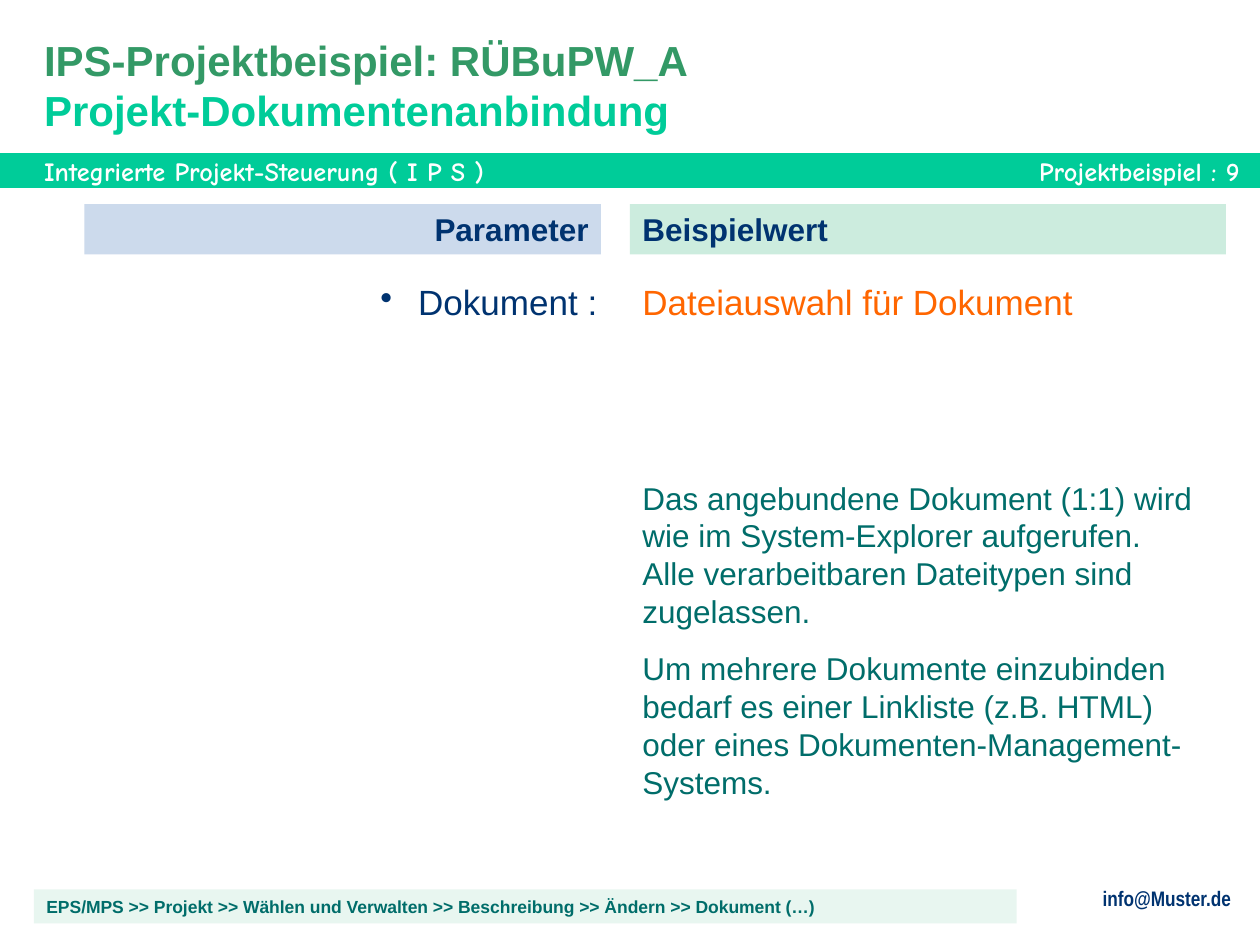
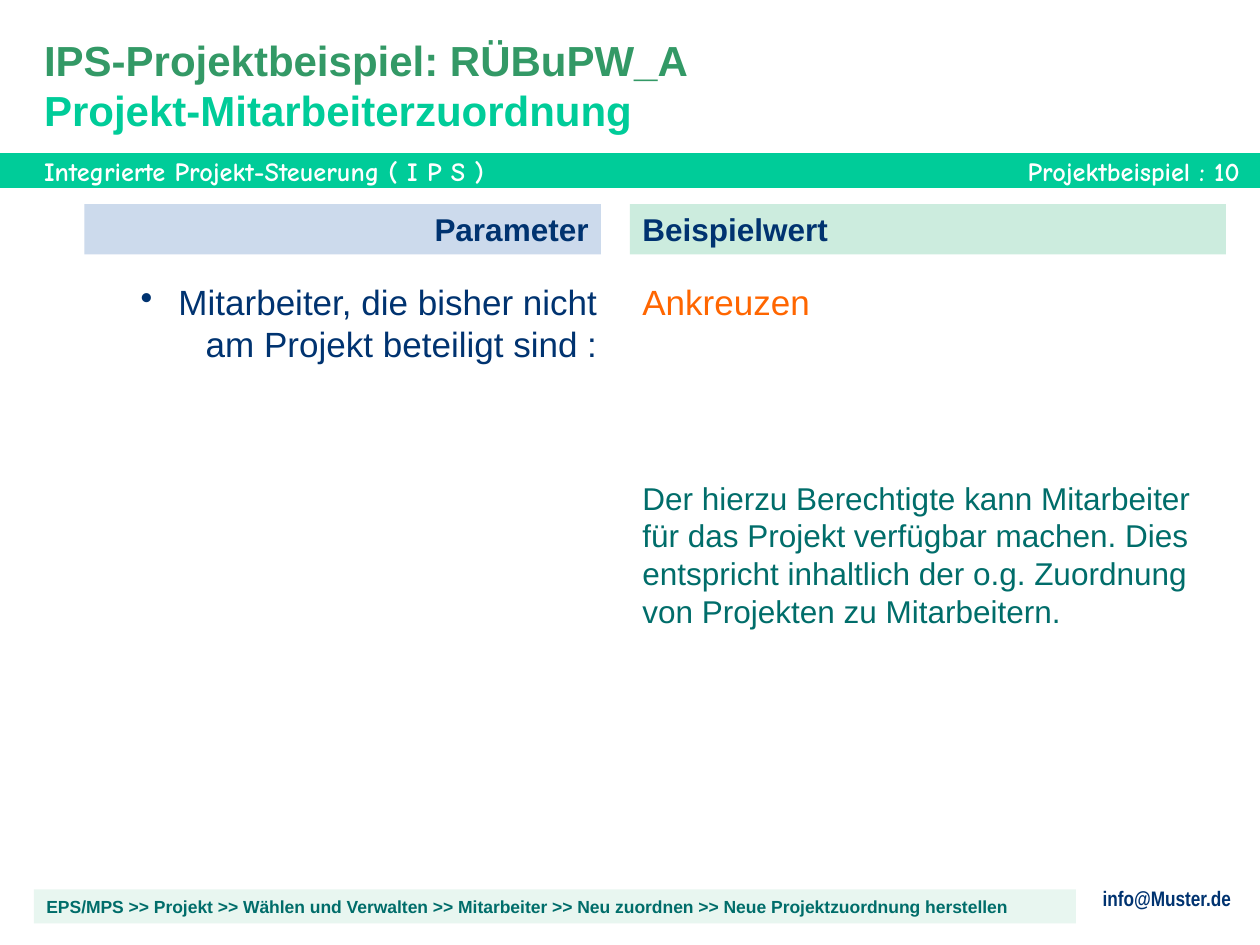
from dataclasses import dataclass

import lxml.etree
import pptx
import pptx.dml.color
import pptx.enum.shapes
import pptx.enum.text
import pptx.oxml.ns
import pptx.presentation
import pptx.shapes.autoshape
import pptx.slide
import pptx.text.text
import pptx.util

Inches = pptx.util.Inches
Pt = pptx.util.Pt
ANCHOR = pptx.enum.text.MSO_ANCHOR
LEFT = pptx.enum.text.PP_ALIGN.LEFT
RIGHT = pptx.enum.text.PP_ALIGN.RIGHT

NAVY = "003370"
TEAL = "006D6A"
MINT = "00CC99"
GREEN = "339966"
ORANGE = "FF6600"
WHITE = "FFFFFF"
PARAMETER_FILL = "CCDAEC"
VALUE_FILL = "CCECDE"
MENU_FILL = "E8F6F0"

MARGIN = 0.35
VALUE_LEFT = 5
HEADER_TOP = 1.62
ENTRY_TOP = 2.18
BAND_TOP = 1.23
BAND_HEIGHT = 0.25


@dataclass(frozen=True)
class Area:
    left: float
    top: float
    width: float
    height: float


@dataclass(frozen=True)
class Style:
    size: float
    color: str
    bold: bool = False
    font: str = "Arial"
    align: pptx.enum.text.PP_ALIGN = LEFT
    space_before: float = 0
    bullet: bool = False
    padded: bool = True


@dataclass(frozen=True)
class Topic:
    number: int
    title: str
    parameter: str
    parameter_height: float
    value: str
    remarks: tuple[str, ...]
    remarks_height: float
    menu: str
    menu_width: float


BAND_TEXT = Style(15, WHITE, bold=True, font="Comic Neue", padded=False)
BAND_NUMBER = Style(15, WHITE, bold=True, font="Comic Neue", align=RIGHT, padded=False)
CONTACT = Style(12, NAVY, bold=True, font="Arial Narrow", align=RIGHT)
TITLE = Style(24, GREEN, bold=True, padded=False)
PARAMETER_HEADER = Style(18, NAVY, bold=True, align=RIGHT)
VALUE_HEADER = Style(18, NAVY, bold=True)
PARAMETER = Style(20, NAVY, align=RIGHT, bullet=True)
VALUE = Style(20, ORANGE)
REMARKS = Style(18, TEAL, space_before=11.2)
MENU = Style(10, TEAL, bold=True)

TOPICS = (
    Topic(
        number=9,
        title="Projekt-Dokumentenanbindung",
        parameter="Dokument :",
        parameter_height=0.44,
        value="Dateiauswahl für Dokument",
        remarks=(
            "Das angebundene Dokument (1:1) wird wie im System-Explorer aufgerufen. "
            "Alle verarbeitbaren Dateitypen sind zugelassen.",
            "Um mehrere Dokumente einzubinden bedarf es einer Linkliste (z.B. HTML) "
            "oder eines Dokumenten-Management-Systems.",
        ),
        remarks_height=2.66,
        menu="EPS/MPS >> Projekt >> Wählen und Verwalten >> Beschreibung "
        ">> Ändern >> Dokument (…)",
        menu_width=7.8,
    ),
    Topic(
        number=10,
        title="Projekt-Mitarbeiterzuordnung",
        parameter="Mitarbeiter, die bisher nicht am Projekt beteiligt sind :",
        parameter_height=0.77,
        value="Ankreuzen",
        remarks=(
            "Der hierzu Berechtigte kann Mitarbeiter für das Projekt verfügbar machen. "
            "Dies entspricht inhaltlich der o.g. Zuordnung von Projekten zu Mitarbeitern.",
        ),
        remarks_height=1.3,
        menu="EPS/MPS >> Projekt >> Wählen und Verwalten >> Mitarbeiter "
        ">> Neu zuordnen >> Neue Projektzuordnung herstellen",
        menu_width=8.27,
    ),
)


def rgb(color: str) -> pptx.dml.color.RGBColor:
    return pptx.dml.color.RGBColor.from_string(color)


def bounds(area: Area) -> tuple[pptx.util.Length, ...]:
    return tuple(Inches(n) for n in (area.left, area.top, area.width, area.height))


def add_bullet(para: pptx.text.text._Paragraph) -> None:
    properties = para._p.get_or_add_pPr()
    properties.set("marL", str(Inches(0.38)))
    properties.set("indent", str(-Inches(0.3)))
    bullet = lxml.etree.SubElement(properties, pptx.oxml.ns.qn("a:buChar"))
    bullet.set("char", "•")


def write(box: pptx.shapes.autoshape.Shape, style: Style, *texts: str) -> None:
    frame = box.text_frame
    frame.word_wrap = True
    frame.vertical_anchor = ANCHOR.TOP
    frame.margin_left = frame.margin_right = Inches(0.1 if style.padded else 0)
    frame.margin_top = frame.margin_bottom = Inches(0.05 if style.padded else 0)
    for index, text in enumerate(texts):
        para = frame.add_paragraph() if index else frame.paragraphs[0]
        para.text = text
        para.alignment = style.align
        para.space_before = Pt(style.space_before)
        para.font.name = style.font
        para.font.size = Pt(style.size)
        para.font.bold = style.bold
        para.font.color.rgb = rgb(style.color)
        if style.bullet:
            add_bullet(para)


def add_text(
    page: pptx.slide.Slide, area: Area, style: Style, *texts: str
) -> pptx.shapes.autoshape.Shape:
    box = page.shapes.add_textbox(*bounds(area))
    write(box, style, *texts)
    return box


def add_bar(
    page: pptx.slide.Slide, area: Area, fill: str
) -> pptx.shapes.autoshape.Shape:
    bar = page.shapes.add_shape(
        pptx.enum.shapes.MSO_SHAPE.RECTANGLE, *bounds(area)
    )
    bar.shadow.inherit = False
    bar.fill.solid()
    bar.fill.fore_color.rgb = rgb(fill)
    bar.line.fill.background()
    return bar


def add_frame(page: pptx.slide.Slide, number: int) -> None:
    band = add_bar(page, Area(0, BAND_TOP, 10, BAND_HEIGHT), MINT)
    band.line.color.rgb = rgb(MINT)
    band.line.width = Pt(2)
    add_text(
        page,
        Area(MARGIN, BAND_TOP, 6.5, BAND_HEIGHT),
        BAND_TEXT,
        "Integrierte Projekt-Steuerung ( I P S )",
    )
    add_text(
        page,
        Area(7.28, BAND_TOP, 2.56, BAND_HEIGHT),
        BAND_NUMBER,
        f"Projektbeispiel : {number}",
    )
    add_text(page, Area(5.79, 6.98, 4.08, 0.3), CONTACT, "info@Muster.de")


def add_title(page: pptx.slide.Slide, title: str) -> None:
    box = add_text(
        page, Area(MARGIN, 0.28, 7.11, 0.79), TITLE, "IPS-Projektbeispiel: RÜBuPW_A"
    )
    box.text_frame.vertical_anchor = ANCHOR.BOTTOM
    para = box.text_frame.paragraphs[0]
    para.line_spacing = Pt(28.5)
    para.add_line_break()
    span = para.add_run()
    span.text = title
    span.font.color.rgb = rgb(MINT)


def add_topic(deck: pptx.presentation.Presentation, topic: Topic) -> None:
    page = deck.slides.add_slide(deck.slide_layouts[6])
    add_frame(page, topic.number)
    add_title(page, topic.title)

    parameter_header = add_bar(page, Area(0.67, HEADER_TOP, 4.1, 0.4), PARAMETER_FILL)
    write(parameter_header, PARAMETER_HEADER, "Parameter")
    value_header = add_bar(page, Area(VALUE_LEFT, HEADER_TOP, 4.73, 0.4), VALUE_FILL)
    write(value_header, VALUE_HEADER, "Beispielwert")

    parameter_area = Area(0.59, ENTRY_TOP, 4.25, topic.parameter_height)
    add_text(page, parameter_area, PARAMETER, topic.parameter)
    add_text(page, Area(VALUE_LEFT, ENTRY_TOP, 4.73, 0.44), VALUE, topic.value)
    remarks_area = Area(VALUE_LEFT, 3.75, 4.57, topic.remarks_height)
    add_text(page, remarks_area, REMARKS, *topic.remarks)

    menu_bar = add_bar(page, Area(0.27, 7.06, topic.menu_width, 0.27), MENU_FILL)
    write(menu_bar, MENU, topic.menu)


def main() -> None:
    deck = pptx.Presentation()
    deck.slide_width = Inches(10)
    deck.slide_height = Inches(7.5)
    for topic in TOPICS:
        add_topic(deck, topic)
    deck.save("out.pptx")


if __name__ == "__main__":
    main()
